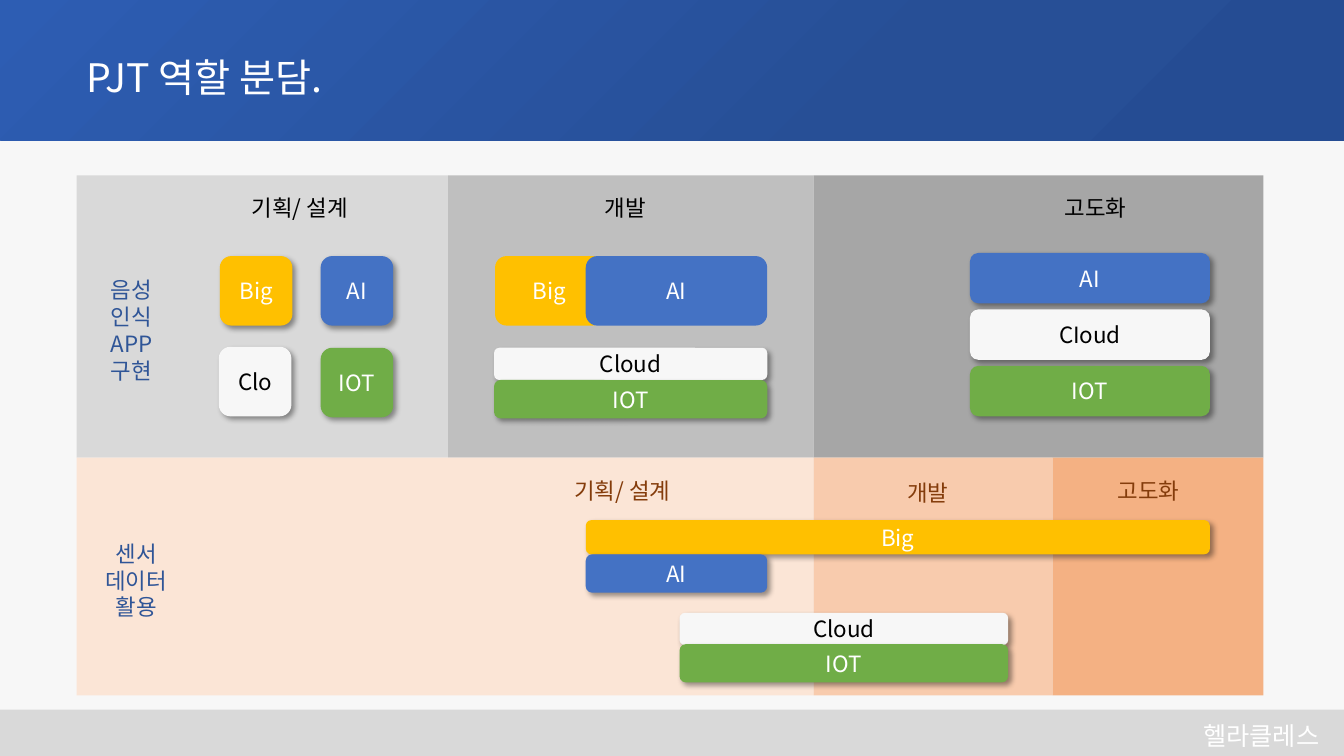
from pptx import Presentation
from pptx.dml.color import RGBColor
from pptx.enum.shapes import MSO_SHAPE as SHAPE
from pptx.enum.text import MSO_ANCHOR as ANCHOR, MSO_AUTO_SIZE as AUTO, PP_ALIGN as ALIGN
from pptx.oxml import parse_xml
from pptx.oxml.ns import nsdecls, qn
from pptx.util import Inches, Pt

FONT = "Noto Sans CJK KR"
WHITE, BLACK = RGBColor(255, 255, 255), RGBColor(0, 0, 0)
PAPER = RGBColor(0xF7, 0xF7, 0xF7)
FOOTER = RGBColor(0xD9, 0xD9, 0xD9)
NAVY, BROWN = RGBColor(0x2F, 0x55, 0x97), RGBColor(0x84, 0x3C, 0x0B)
YELLOW, BLUE = RGBColor(0xFF, 0xC0, 0x00), RGBColor(0x44, 0x72, 0xC4)
GREEN = RGBColor(0x70, 0xAD, 0x47)
GRAYS = FOOTER, RGBColor(0xBF, 0xBF, 0xBF), RGBColor(0xA6, 0xA6, 0xA6)
ORANGES = RGBColor(0xFB, 0xE5, 0xD6), RGBColor(0xF8, 0xCB, 0xAD), RGBColor(0xF4, 0xB1, 0x83)

SHADOW = (f'<a:effectLst {nsdecls("a")}><a:outerShdw blurRad="50800" dist="38100" '
          'dir="2700000" algn="tl" rotWithShape="0"><a:srgbClr val="000000">'
          '<a:alpha val="40000"/></a:srgbClr></a:outerShdw></a:effectLst>')
HEADER_FILL = (f'<a:gradFill {nsdecls("a")} rotWithShape="1"><a:gsLst>'
               '<a:gs pos="0"><a:srgbClr val="254C93"/></a:gs>'
               '<a:gs pos="34000"><a:srgbClr val="274F96"/></a:gs>'
               '<a:gs pos="100000"><a:srgbClr val="2D5DB3"/></a:gs></a:gsLst>'
               '<a:path path="circle"><a:fillToRect l="100000" t="100000"/></a:path>'
               '</a:gradFill>')

# Left, top, width, height of each phase label
GRAY_LABELS = [("기획/ 설계", 2.38, 1.86, 1.34), ("개발", 5.88, 1.86, 0.76),
               ("고도화", 10.44, 1.86, 1.03)]
ORANGE_LABELS = [("기획/ 설계", 5.58, 4.66, 1.34), ("개발", 8.88, 4.68, 0.76),
                 ("고도화", 10.97, 4.66, 1.03)]

TEAM_FILLS = {"Big": YELLOW, "AI": BLUE, "IOT": GREEN}  # the others are light
JOINED_BARS = [("Big", 4.91, 2.54, 1.08, 0.69), ("AI", 5.81, 2.54, 1.8, 0.69)]
BARS = [
    # Voice app: planning
    ("Big", 2.18, 2.54, 0.72, 0.69), ("AI", 3.18, 2.54, 0.72, 0.69),
    ("IOT", 3.18, 3.45, 0.72, 0.69), ("Clo", 2.17, 3.44, 0.72, 0.69),
    # Voice app: development
    ("Cloud", 4.9, 3.45, 2.71, 0.32), ("IOT", 4.9, 3.77, 2.71, 0.38),
    # Voice app: refinement
    ("AI", 9.62, 2.51, 2.38, 0.5), ("CIoud", 9.62, 3.07, 2.38, 0.5),
    ("IOT", 9.62, 3.63, 2.38, 0.5),
    # Sensor data
    ("Big", 5.81, 5.16, 6.19, 0.34), ("AI", 5.81, 5.5, 1.8, 0.38),
    ("Cloud", 6.74, 6.08, 3.26, 0.32), ("IOT", 6.74, 6.39, 3.26, 0.38),
]


def write(sp, text, size=16, color=WHITE, align=ALIGN.CENTER, anchor=ANCHOR.TOP,
          wrap=True, grow=False):
    tf = sp.text_frame
    tf.word_wrap = wrap
    tf.vertical_anchor = anchor
    tf.auto_size = AUTO.SHAPE_TO_FIT_TEXT if grow else AUTO.NONE
    for i, line in enumerate(text.split("\n")):
        p = tf.paragraphs[0] if i == 0 else tf.add_paragraph()
        p.alignment = align
        r = p.add_run()
        r.text = line
        r.font.size, r.font.name = Pt(size), FONT
        r.font.color.rgb = color
        r._r.get_or_add_rPr().find(qn("a:latin")).addnext(
            parse_xml(f'<a:ea {nsdecls("a")} typeface="{FONT}"/>'))


def add_box(s, left, top, width, height, fill=None, kind=SHAPE.RECTANGLE):
    sp = s.shapes.add_shape(kind, Inches(left), Inches(top), Inches(width), Inches(height))
    sp.shadow.inherit = False
    sp.line.fill.background()
    if fill is None:
        sp.fill.background()
    else:
        sp.fill.solid()
        sp.fill.fore_color.rgb = fill
    return sp


def add_bands(s, edges, top, height, fills):
    for left, right, fill in zip(edges, edges[1:], fills):
        add_box(s, left, top, right - left, height, fill)


def add_label(s, text, left, top, width, height=0.41, **fmt):
    sp = add_box(s, left, top, width, height, kind=SHAPE.ROUNDED_RECTANGLE)
    write(sp, text, grow=True, **fmt)


def add_bar(s, text, left, top, width, height, shadow=True):
    sp = add_box(s, left, top, width, height, TEAM_FILLS.get(text, PAPER),
                 SHAPE.ROUNDED_RECTANGLE)
    if shadow:
        effects = sp.element.spPr.find(qn("a:effectLst"))
        effects.getparent().replace(effects, parse_xml(SHADOW))
    write(sp, text, color=WHITE if text in TEAM_FILLS else BLACK, anchor=ANCHOR.MIDDLE)


def add_frame(s):
    s.background.fill.solid()
    s.background.fill.fore_color.rgb = PAPER
    # Footer
    add_box(s, 0, 7.04, 13.33, 0.46, FOOTER)
    team = s.shapes.add_textbox(Inches(11.69), Inches(7.1), Inches(1.64), Inches(0.4))
    write(team, "헬라클레스", size=18, grow=True)
    # Header
    header = add_box(s, 0, 0, 13.33, 1.39, BLUE)
    solid = header.element.spPr.find(qn("a:solidFill"))
    solid.getparent().replace(solid, parse_xml(HEADER_FILL))
    # Title, in front of the header
    title = s.shapes.title
    title.left, title.top = Inches(0.76), Inches(0.48)
    title.width, title.height = Inches(2.57), Inches(0.57)
    write(title, "PJT 역할 분담.", size=28, align=ALIGN.LEFT, wrap=False, grow=True)
    title.element.getparent().append(title.element)


def main():
    prs = Presentation()
    prs.slide_width, prs.slide_height = Inches(13.33), Inches(7.5)
    s = prs.slides.add_slide(prs.slide_layouts[5])
    add_frame(s)

    # Phase bands of the two projects
    add_bands(s, [0.76, 4.445, 8.07, 12.53], 1.74, 2.8, GRAYS)
    add_bands(s, [0.76, 8.07, 10.44, 12.53], 4.54, 2.36, ORANGES)

    # Phase and project labels
    for labels, color in ((GRAY_LABELS, BLACK), (ORANGE_LABELS, BROWN)):
        for label in labels:
            add_label(s, *label, color=color, align=ALIGN.LEFT)
    add_label(s, "음성인식\nAPP구현", 0.87, 2.65, 0.87, 1.26, color=NAVY)
    add_label(s, "센서\n데이터\n활용", 0.87, 5.26, 0.96, 1, color=NAVY)

    # Team bars
    for bar in JOINED_BARS:
        add_bar(s, *bar, shadow=False)
    for bar in BARS:
        add_bar(s, *bar)

    prs.save("out.pptx")


if __name__ == "__main__":
    main()
